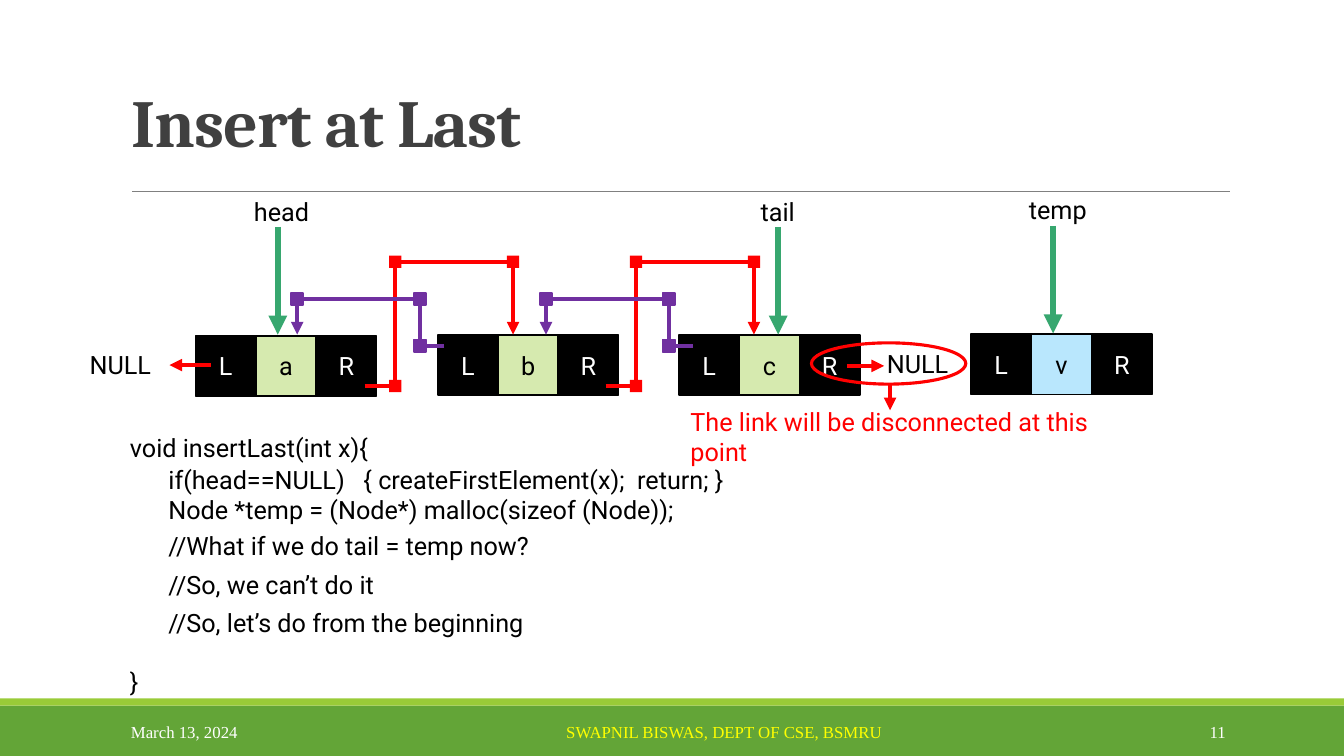
from itertools import pairwise

from lxml import etree
from pptx import Presentation
from pptx.dml.color import RGBColor
from pptx.enum.shapes import MSO_CONNECTOR, MSO_SHAPE
from pptx.enum.text import MSO_ANCHOR, MSO_AUTO_SIZE, PP_ALIGN
from pptx.oxml.ns import qn
from pptx.util import Cm, Pt

RECTANGLE, OVAL = MSO_SHAPE.RECTANGLE, MSO_SHAPE.OVAL
STRAIGHT = MSO_CONNECTOR.STRAIGHT
LEFT, CENTER, RIGHT = PP_ALIGN.LEFT, PP_ALIGN.CENTER, PP_ALIGN.RIGHT
TOP, MIDDLE, BOTTOM = MSO_ANCHOR.TOP, MSO_ANCHOR.MIDDLE, MSO_ANCHOR.BOTTOM
FIXED = MSO_AUTO_SIZE.NONE

BLACK = RGBColor(0x00, 0x00, 0x00)
WHITE = RGBColor(0xFF, 0xFF, 0xFF)
CHARCOAL = RGBColor(0x40, 0x40, 0x40)
GREY = RGBColor(0x80, 0x80, 0x80)
RED = RGBColor(0xFF, 0x00, 0x00)
PURPLE = RGBColor(0x70, 0x30, 0xA0)
GREEN = RGBColor(0x37, 0xA7, 0x6F)
YELLOW = RGBColor(0xFF, 0xFF, 0x00)
PALE_GREEN = RGBColor(0xD6, 0xEA, 0xAF)
PALE_BLUE = RGBColor(0xB9, 0xE7, 0xFD)
BAND_GREEN = RGBColor(0x63, 0xA5, 0x37)
STRIPE_GREEN = RGBColor(0x99, 0xCB, 0x38)


def add_box(kind, left, top, width, height, fill=None, outline=None, weight=1.25):
    box = page.shapes.add_shape(kind, Cm(left), Cm(top), Cm(width), Cm(height))
    box.shadow.inherit = False
    if fill is None:
        box.fill.background()
    else:
        box.fill.solid()
        box.fill.fore_color.rgb = fill
    if outline is None:
        box.line.fill.background()
    else:
        box.line.color.rgb = outline
        box.line.width = Pt(weight)
    return box


def add_route(points, color, weight, arrow=True):
    """Join the points with straight lines, the last one ending in an arrowhead."""
    for (x1, y1), (x2, y2) in pairwise(points):
        line = page.shapes.add_connector(STRAIGHT, Cm(x1), Cm(y1), Cm(x2), Cm(y2))
        line.line.color.rgb = color
        line.line.width = Pt(weight)
        etree.SubElement(line._element.spPr, qn("a:effectLst"))
    if arrow:
        etree.SubElement(line.line._get_or_add_ln(), qn("a:tailEnd"), type="triangle")


deck = Presentation()
deck.slide_width, deck.slide_height = Cm(33.87), Cm(19.05)
page = deck.slides.add_slide(deck.slide_layouts[1])

# Footer bands and title rule
add_box(RECTANGLE, 0, 17.78, 33.87, 1.27, BAND_GREEN)
add_box(RECTANGLE, 0, 17.6, 33.87, 0.18, STRIPE_GREEN)
add_route([(3.33, 4.82), (31, 4.82)], GREY, 0.5, arrow=False)

# Title
title = page.shapes.title
title.left, title.top, title.width, title.height = Cm(3.05), Cm(0.15), Cm(27.94), Cm(4.04)
title.text_frame.auto_size = FIXED
title.text_frame.vertical_anchor = BOTTOM
para = title.text_frame.paragraphs[0]
span = para.add_run()
span.text = "Insert at Last"
para.alignment = LEFT
para.line_spacing = 0.85
span.font.name, span.font.size, span.font.bold = "Cambria", Pt(48), True
span.font.color.rgb = CHARCOAL
span._r.get_or_add_rPr().set("spc", "-50")

# Code: text, indent in cm, space before in points
code_lines = [
    ("void insertLast(int x){", 0, 0),
    ("if(head==NULL)   { createFirstElement(x);  return; }", 0.97, 1),
    ("Node *temp = (Node*) malloc(sizeof (Node));", 0.97, 0),
    ("//What if we do tail = temp now?", 0.97, 4),
    ("//So, we can’t do it", 0.97, 6),
    ("//So, let’s do from the beginning", 0.97, 6),
    ("}", 0, 20.5),
]
code = page.placeholders[1]
code.left, code.top, code.width, code.height = Cm(3.02), Cm(10.77), Cm(15.98), Cm(6.8)
code.text_frame.auto_size = FIXED
code.text_frame.vertical_anchor = TOP
code.text_frame.text = "\n".join(text for text, _, _ in code_lines)
for para, (_, indent, gap) in zip(code.text_frame.paragraphs, code_lines):
    para.space_before = Pt(gap)
    para.font.name, para.font.size = "Roboto", Pt(18)
    para.font.color.rgb = BLACK
    properties = para._p.get_or_add_pPr()
    properties.set("marL", str(Cm(indent)))
    properties.set("indent", "0")
    etree.SubElement(properties, qn("a:buNone"))
    properties.append(properties.find(qn("a:defRPr")))

# List nodes, each with a left link, a value and a right link
CELL = 1.52
nodes = [
    (4.93, 8.46, "a", PALE_GREEN),
    (11.03, 8.44, "b", PALE_GREEN),
    (17.11, 8.44, "c", PALE_GREEN),
    (24.47, 8.42, "v", PALE_BLUE),
]
for left, top, value, value_fill in nodes:
    cells = [("L", BLACK, WHITE), (value, value_fill, BLACK), ("R", BLACK, WHITE)]
    for column, (text, fill, color) in enumerate(cells):
        cell = add_box(RECTANGLE, left + column * CELL, top, CELL, CELL, fill, BLACK)
        frame = cell.text_frame
        frame.margin_left = frame.margin_right = 0
        frame.vertical_anchor = MIDDLE
        para = frame.paragraphs[0]
        para.text = text
        para.alignment = CENTER
        para.font.name, para.font.size = "Roboto", Pt(18)
        para.font.color.rgb = color

# Pointers from head, tail and temp
for x, top in [(7, 5.72), (19.61, 5.72), (26.54, 5.69)]:
    add_route([(x, top), (x, top + 2.71)], GREEN, 4.5)

# Links between neighbours, with a square joint at every corner
next_link = [(9.19, 9.73), (9.96, 9.73), (9.96, 6.6), (12.93, 6.6), (12.93, 8.43)]
previous_link = [(11.2, 8.71), (10.58, 8.71), (10.58, 7.54), (7.49, 7.54), (7.49, 8.43)]
JOINT = 0.31
for link, color, outline, shift in [
    (next_link, RED, None, 6.07),
    (previous_link, PURPLE, PURPLE, 6.27),
]:
    for offset in (0, shift):
        points = [(x + offset, y) for x, y in link]
        add_route(points, color, 3)
        for x, y in points[1:-1]:
            add_box(RECTANGLE, x - JOINT / 2, y - JOINT / 2, JOINT, JOINT, color, outline)

# Links to NULL and the one to be cut
add_route([(5.31, 9.2), (4.27, 9.2)], RED, 3)
add_route([(21.34, 9.22), (22.28, 9.22)], RED, 3)
add_box(OVAL, 20.45, 8.64, 3.89, 1.04, outline=RED, weight=2.25)
add_route([(22.43, 9.7), (22.43, 10.34)], RED, 3)

# Labels: text, left, top, width, font, size, colour, alignment, anchor
labels = [
    ("head", 6.15, 4.83, 2.03, "Roboto", 18, BLACK, LEFT, TOP),
    ("tail", 18.92, 4.83, 1.73, "Roboto", 18, BLACK, LEFT, TOP),
    ("temp", 25.68, 4.78, 2.03, "Roboto", 18, BLACK, LEFT, TOP),
    ("NULL", 2.01, 8.69, 2.39, "Roboto", 18, BLACK, LEFT, TOP),
    ("NULL", 22.1, 8.66, 2.39, "Roboto", 18, BLACK, LEFT, TOP),
    ("The link will be disconnected at this point", 17.15, 10.11, 11.91,
     "Roboto", 18, RED, LEFT, TOP),
    ("March 13, 2024", 3.05, 17.93, 6.86, "Times New Roman", 12, WHITE, LEFT, MIDDLE),
    ("SWAPNIL BISWAS, DEPT OF CSE, BSMRU", 14.02, 17.93, 9.5,
     "Times New Roman", 12, YELLOW, LEFT, MIDDLE),
    ("11", 27.51, 17.93, 3.63, "Times New Roman", 12, WHITE, RIGHT, MIDDLE),
]
for text, left, top, width, font, size, color, alignment, anchor in labels:
    label = page.shapes.add_textbox(Cm(left), Cm(top), Cm(width), Cm(1.02))
    label.text_frame.word_wrap = True
    label.text_frame.vertical_anchor = anchor
    para = label.text_frame.paragraphs[0]
    para.text = text
    para.alignment = alignment
    para.font.name, para.font.size = font, Pt(size)
    para.font.color.rgb = color

deck.save("out.pptx")
